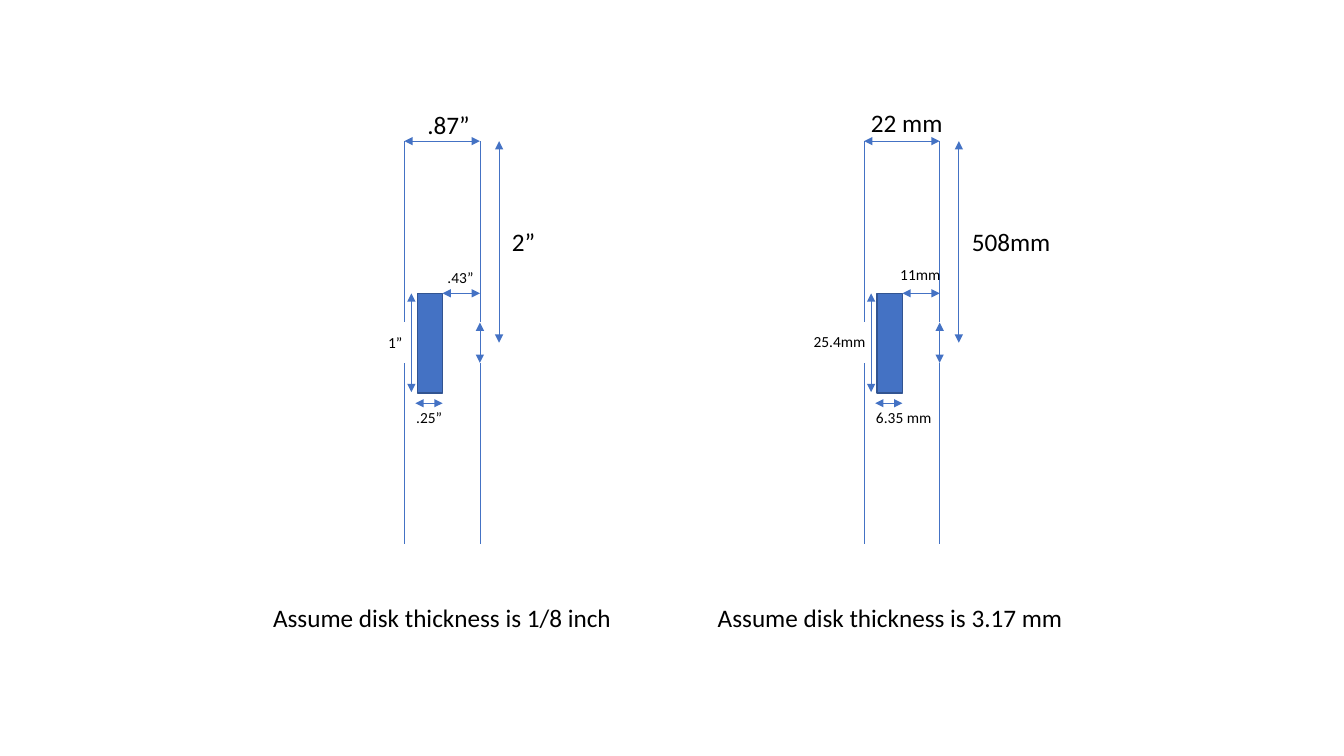
from lxml.etree import SubElement
from pptx import Presentation
from pptx.dml.color import RGBColor
from pptx.enum.shapes import MSO_CONNECTOR, MSO_SHAPE
from pptx.enum.text import MSO_AUTO_SIZE
from pptx.oxml.ns import qn
from pptx.util import Inches, Pt

BLUE, DARK_BLUE, WHITE, BLACK = "4472C4", "325491", "FFFFFF", "000000"
LARGE, SMALL = 18, 11

# Channel geometry, in inches from the top of its left wall
CHANNEL_WIDTH, CHANNEL_HEIGHT = 0.75, 4
DISK_LEFT, DISK_TOP, DISK_WIDTH, DISK_HEIGHT = 0.13, 1.51, 0.25, 0.99
GAP_TOP, GAP_WIDTH, GAP_HEIGHT = 1.8, 0.17, 0.4

# Each label: text, size, left, top, width (offsets from the channel)
INCH_LABELS = [
    (".87”", LARGE, 0.13, -0.36, 0.63),
    ("2”", LARGE, 0.97, 0.8, 0.44),
    (".43”", SMALL, 0.33, 1.21, 0.46),
    (".25”", SMALL, 0.02, 2.6, 0.46),
    ("1”", SMALL, -0.26, 1.86, 0.35),
]
METRIC_LABELS = [
    ("22 mm", LARGE, -0.03, -0.38, 0.92),
    ("508mm", LARGE, 0.97, 0.8, 0.99),
    ("11mm", SMALL, 0.26, 1.18, 0.61),
    ("6.35 mm", SMALL, 0.02, 2.6, 0.76),
    ("25.4mm", SMALL, -0.6, 1.85, 0.72),
]


def color(value):
    return RGBColor.from_string(value)


def add_line(page, x1, y1, x2, y2, arrows=False):
    line = page.shapes.add_connector(
        MSO_CONNECTOR.STRAIGHT, Inches(x1), Inches(y1), Inches(x2), Inches(y2))
    line.line.color.rgb = color(BLUE)
    line.line.width = Pt(0.5)
    properties = line._element.spPr
    if arrows:
        for end in ("a:headEnd", "a:tailEnd"):
            SubElement(properties.find(qn("a:ln")), qn(end), type="triangle")
    SubElement(properties, qn("a:effectLst"))


def add_block(page, left, top, width, height, fill, outline):
    block = page.shapes.add_shape(
        MSO_SHAPE.RECTANGLE, Inches(left), Inches(top), Inches(width), Inches(height))
    block.shadow.inherit = False
    block.fill.solid()
    block.fill.fore_color.rgb = color(fill)
    block.line.color.rgb = color(outline)
    block.line.width = Pt(1)


def add_label(page, text, size, left, top, width):
    height = 0.4 if size == LARGE else 0.29
    box = page.shapes.add_textbox(Inches(left), Inches(top), Inches(width), Inches(height))
    box.text_frame.word_wrap = False
    box.text_frame.auto_size = MSO_AUTO_SIZE.SHAPE_TO_FIT_TEXT
    span = box.text_frame.paragraphs[0].add_run()
    span.text = text
    span.font.name = "Calibri"
    span.font.size = Pt(size)
    span.font.color.rgb = color(BLACK)


def draw_channel(page, left, top, labels):
    right = left + CHANNEL_WIDTH
    disk_left, disk_top = left + DISK_LEFT, top + DISK_TOP
    disk_right, disk_bottom = disk_left + DISK_WIDTH, disk_top + DISK_HEIGHT
    gap_top = top + GAP_TOP
    gap_bottom = gap_top + GAP_HEIGHT

    # Walls and disk
    for wall in (left, right):
        add_line(page, wall, top, wall, top + CHANNEL_HEIGHT)
    add_block(page, disk_left, disk_top, DISK_WIDTH, DISK_HEIGHT, BLUE, DARK_BLUE)

    # Openings that break both walls
    for opening in (left - 0.06, right - 0.08):
        add_block(page, opening, gap_top, GAP_WIDTH, GAP_HEIGHT, WHITE, WHITE)

    # Dimension arrows
    for ends in (
        (left, top, right, top),
        (disk_left - 0.02, disk_bottom + 0.1, disk_right, disk_bottom + 0.1),
        (right + 0.19, top, right + 0.19, top + CHANNEL_HEIGHT / 2),
        (disk_left - 0.06, disk_top, disk_left - 0.06, disk_bottom - 0.01),
        (disk_right, disk_top, right, disk_top),
        (right, gap_top, right, gap_bottom),
    ):
        add_line(page, *ends, arrows=True)

    # Dimension labels
    for text, size, x, y, width in labels:
        add_label(page, text, size, left + x, top + y, width)


def main():
    deck = Presentation()
    deck.slide_width, deck.slide_height = Inches(13.33), Inches(7.5)
    page = deck.slides.add_slide(deck.slide_layouts[6])

    draw_channel(page, 4.01, 1.4, INCH_LABELS)
    draw_channel(page, 8.57, 1.4, METRIC_LABELS)

    # Captions
    add_label(page, "Assume disk thickness is 1/8 inch", LARGE, 2.61, 5.93, 3.65)
    add_label(page, "Assume disk thickness is 3.17 mm", LARGE, 7.02, 5.93, 3.71)
    deck.save("out.pptx")


if __name__ == "__main__":
    main()
